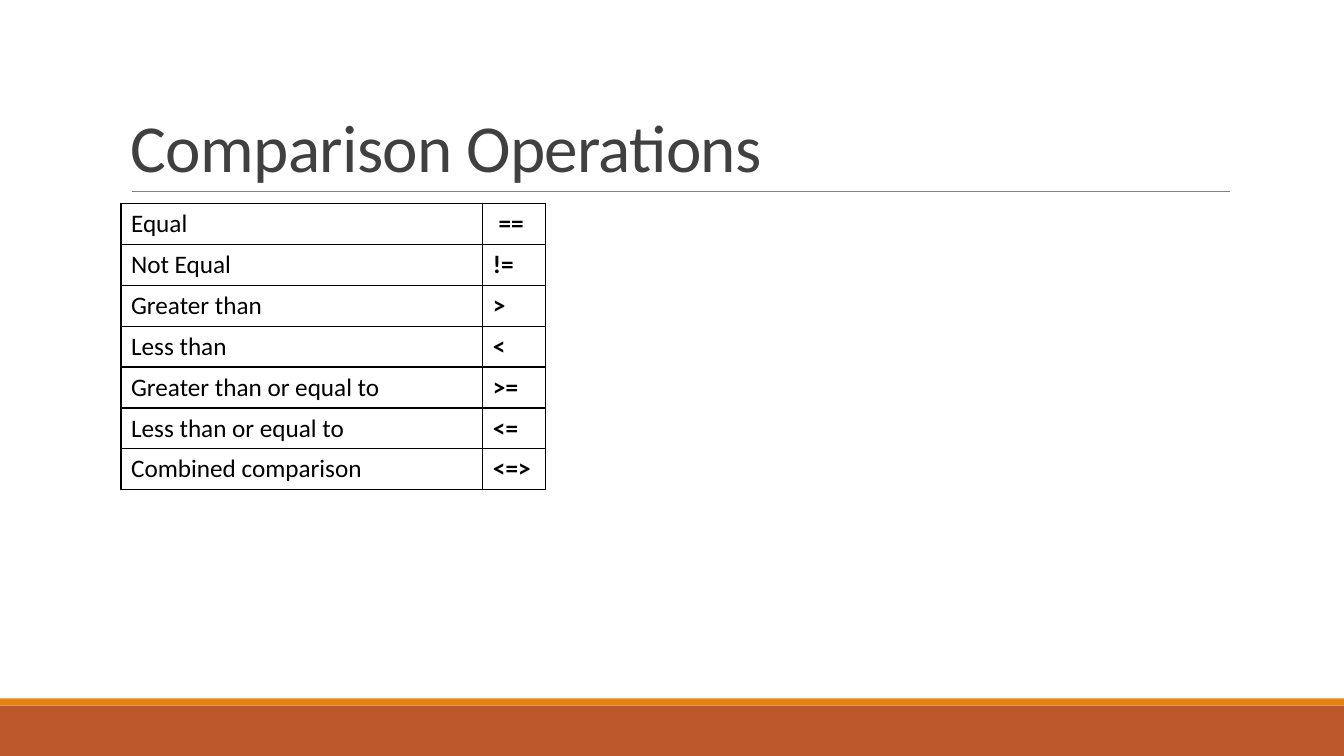
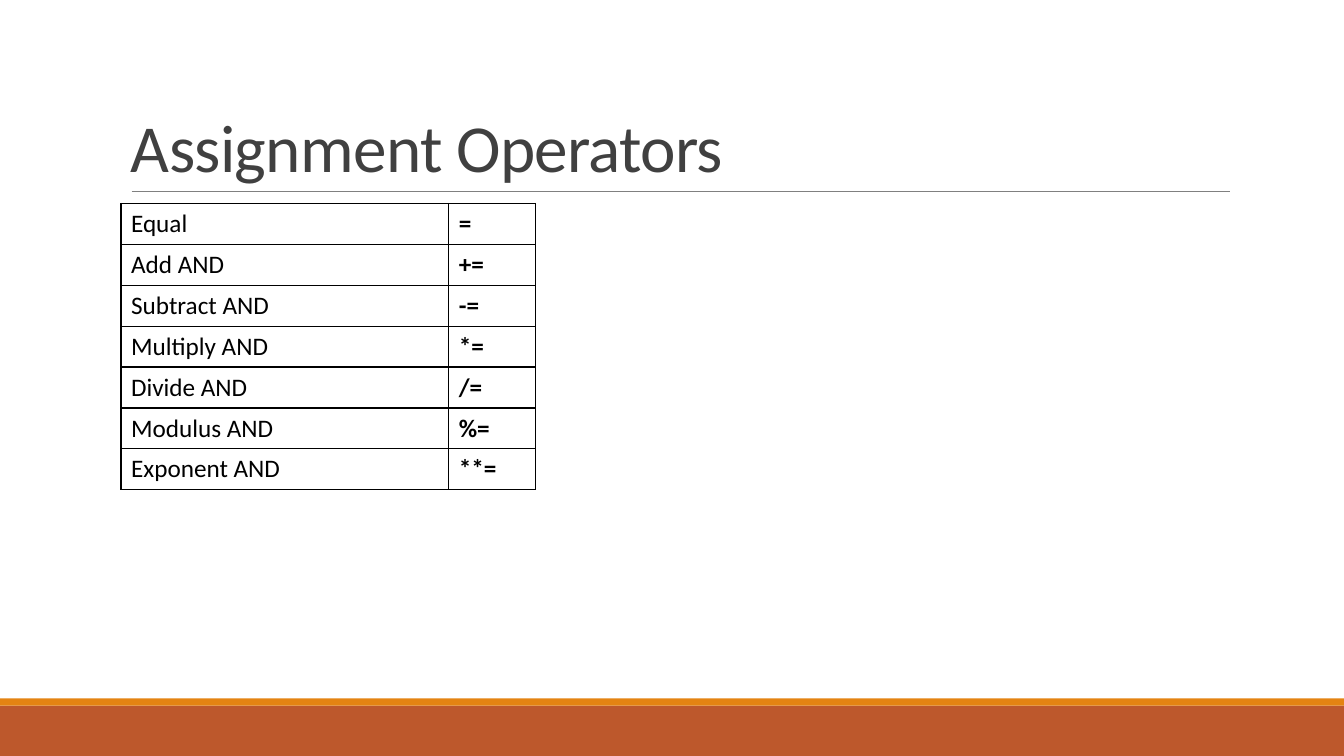
"""Build two slides that list comparison and assignment operators."""
from lxml import etree
from pptx import Presentation
from pptx import util as u
from pptx.dml.color import RGBColor
from pptx.enum import shapes, text
from pptx.oxml import ns

COLORS = {
    "band": "BD582C",
    "stripe": "E48312",
    "rule": "808080",
    "title": "404040",
    "text": "000000",
    "border": "000000",
    "cell": "FFFFFF",
}
FONT = "Calibri"
WIDTH, HEIGHT = u.Cm(33.87), u.Cm(19.05)
LEFT = u.Cm(3.05)
ROW_HEIGHT = u.Cm(1.03)
BANDS = [("band", 17.78, 1.27), ("stripe", 17.6, 0.18)]

TABLES = [
    ("Comparison Operations", (9.12, 1.58), [
        ("Equal", " =="),
        ("Not Equal", "!="),
        ("Greater than", ">"),
        ("Less than", "<"),
        ("Greater than or equal to", ">="),
        ("Less than or equal to", "<="),
        ("Combined comparison", "<=>"),
    ]),
    ("Assignment Operators", (8.26, 2.18), [
        ("Equal", "="),
        ("Add AND", "+="),
        ("Subtract AND", "-="),
        ("Multiply AND", "*="),
        ("Divide AND", "/="),
        ("Modulus AND", "%="),
        ("Exponent AND", "**="),
    ]),
]


def style_font(font, size, color, bold=False):
    font.name = FONT
    font.size = u.Pt(size)
    font.bold = bold
    font.color.rgb = RGBColor.from_string(COLORS[color])


def add_borders(cell):
    properties = cell._tc.get_or_add_tcPr()
    for side in ("a:lnL", "a:lnR", "a:lnT", "a:lnB"):
        line = etree.SubElement(properties, ns.qn(side), w=str(u.Pt(1)))
        fill = etree.SubElement(line, ns.qn("a:solidFill"))
        etree.SubElement(fill, ns.qn("a:srgbClr"), val=COLORS["border"])


presentation = Presentation()
presentation.slide_width, presentation.slide_height = WIDTH, HEIGHT
blank_layout = presentation.slide_layouts[6]

for title, column_widths, rows in TABLES:
    slide = presentation.slides.add_slide(blank_layout)

    for color, top, height in BANDS:
        band = slide.shapes.add_shape(
            shapes.MSO_SHAPE.RECTANGLE, 0, u.Cm(top), WIDTH, u.Cm(height))
        band.shadow.inherit = False
        band.fill.solid()
        band.fill.fore_color.rgb = RGBColor.from_string(COLORS[color])
        band.line.fill.background()

    rule = slide.shapes.add_connector(
        shapes.MSO_CONNECTOR.STRAIGHT, u.Cm(3.32), u.Cm(4.83), u.Cm(31), u.Cm(4.83))
    rule.line.color.rgb = RGBColor.from_string(COLORS["rule"])
    rule.line.width = u.Pt(0.5)
    etree.SubElement(rule._element.spPr, ns.qn("a:effectLst"))

    title_box = slide.shapes.add_textbox(LEFT, u.Cm(0.79), u.Cm(27.94), u.Cm(4.04))
    frame = title_box.text_frame
    frame.word_wrap = True
    frame.vertical_anchor = text.MSO_ANCHOR.BOTTOM
    paragraph = frame.paragraphs[0]
    paragraph.line_spacing = 0.85
    run = paragraph.add_run()
    run.text = title
    style_font(run.font, 48, "title")
    run.font._element.set("spc", "-50")

    table = slide.shapes.add_table(
        len(rows), len(column_widths), LEFT, u.Cm(5.13),
        u.Cm(sum(column_widths)), ROW_HEIGHT * len(rows)).table
    for column, width in zip(table.columns, column_widths):
        column.width = u.Cm(width)
    for row_index, row in enumerate(rows):
        for column_index, label in enumerate(row):
            cell = table.cell(row_index, column_index)
            cell.text = label
            style_font(cell.text_frame.paragraphs[0].font, 18, "text", column_index == 1)
            add_borders(cell)
            cell.fill.solid()
            cell.fill.fore_color.rgb = RGBColor.from_string(COLORS["cell"])

presentation.save("out.pptx")
